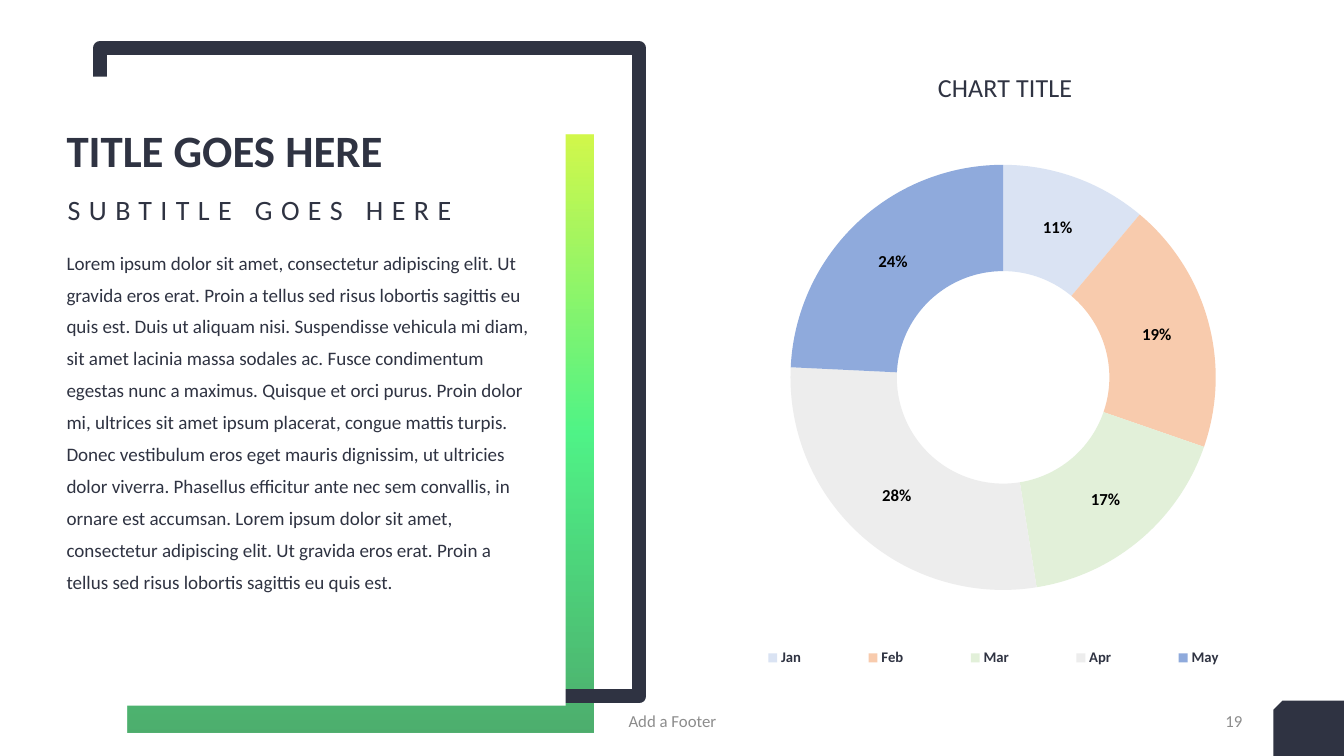
from lxml import etree
from pptx import Presentation
from pptx.chart.data import CategoryChartData
from pptx.dml.color import RGBColor
from pptx.enum.chart import XL_CHART_TYPE as ChartType, XL_LEGEND_POSITION as LegendPosition
from pptx.enum.shapes import MSO_SHAPE as Shape
from pptx.enum.text import MSO_ANCHOR as Anchor, PP_ALIGN as Align
from pptx.oxml import parse_xml
from pptx.oxml.ns import nsdecls, qn
from pptx.util import Inches, Pt

# Content
DARK, WHITE, GREY, BLACK = "2F3342", "FFFFFF", "8C8C8C", "000000"
FONT = "Calibri"
BODY = (
    "Lorem ipsum dolor sit amet, consectetur adipiscing elit. Ut gravida eros erat. "
    "Proin a tellus sed risus lobortis sagittis eu quis est. Duis ut aliquam nisi. "
    "Suspendisse vehicula mi diam, sit amet lacinia massa sodales ac. Fusce condimentum "
    "egestas nunc a maximus. Quisque et orci purus. Proin dolor mi, ultrices sit amet "
    "ipsum placerat, congue mattis turpis. Donec vestibulum eros eget mauris dignissim, "
    "ut ultricies dolor viverra. Phasellus efficitur ante nec sem convallis, in ornare "
    "est accumsan. Lorem ipsum dolor sit amet, consectetur adipiscing elit. Ut gravida "
    "eros erat. Proin a tellus sed risus lobortis sagittis eu quis est."
)
# text, box, side inset, font, line spacing, letter spacing, anchor, alignment
TEXTS = [
    ("TITLE GOES HERE", (0.66, 1.2, 4.62, 0.63), 0, {"size": 32, "bold": True, "color": DARK},
     0.9, 0, Anchor.MIDDLE, Align.LEFT),
    (BODY, (0.66, 2.35, 4.62, 4.22), 0, {"size": 13.6, "color": DARK},
     1.4, 0, Anchor.TOP, Align.LEFT),
    ("SUBTITLE GOES HERE", (0.67, 1.9, 4.59, 0.45), 0, {"size": 20, "color": DARK},
     0.9, 6, Anchor.TOP, Align.LEFT),
    ("Add a Footer", (4.42, 6.95, 4.5, 0.4), 0.1, {"size": 12, "color": GREY},
     1, 0, Anchor.MIDDLE, Align.CENTER),
    ("19", (9.42, 6.95, 3, 0.4), 0.1, {"size": 12, "color": GREY},
     1, 0, Anchor.MIDDLE, Align.RIGHT),
]
GRADIENT = [(0, "038B30"), (50, "05EE55"), (100, "C0F400")]
GRADIENT_OPACITY = 70
MONTHS = [("Jan", 11, "DAE3F3"), ("Feb", 19, "F8CBAD"), ("Mar", 17, "E2F0D9"),
          ("Apr", 28, "EDEDED"), ("May", 24, "8FAADC")]
CHART_TITLE = "CHART TITLE"
CHART_BOX = (7, 0.51, 5.71, 6.47)
# Places inside the chart, as fractions of its box
TITLE_PLACE = {"x": 0.395, "y": 0.02}
PLOT_PLACE = {"x": 0.147, "y": 0.174, "w": 0.739, "h": 0.652}
LEGEND_PLACE = {"x": 0, "y": 0.89, "w": 1, "h": 0.08}


def rgb(value):
    return RGBColor.from_string(value)


def box(lengths):
    return [Inches(length) for length in lengths]


def set_font(font, size, color, bold=False):
    formats = {"name": FONT, "size": Pt(size), "bold": bold}
    for name, value in formats.items():
        setattr(font, name, value)
    font.color.rgb = rgb(color)


def add_panel(slide, kind, place, fill=None, line=None, width=0):
    shape = slide.shapes.add_shape(kind, *box(place))
    shape.shadow.inherit = False
    if fill:
        shape.fill.solid()
        shape.fill.fore_color.rgb = rgb(fill)
    else:
        shape.fill.background()
    if line:
        shape.line.color.rgb = rgb(line)
        shape.line.width = Pt(width)
    else:
        shape.line.fill.background()
    return shape


def set_gradient(shape):
    stops = "".join(
        f'<a:gs pos="{position * 1000}"><a:srgbClr val="{color}">'
        f'<a:alpha val="{GRADIENT_OPACITY * 1000}"/></a:srgbClr></a:gs>'
        for position, color in GRADIENT)
    properties = shape._element.spPr
    gradient = parse_xml(f'<a:gradFill {nsdecls("a")} rotWithShape="1"><a:gsLst>{stops}</a:gsLst>'
                         '<a:lin ang="16200000" scaled="0"/></a:gradFill>')
    properties.replace(properties.find(qn("a:noFill")), gradient)


def add_text(slide, text, place, inset, font, spacing, tracking, anchor, align):
    frame = slide.shapes.add_textbox(*box(place)).text_frame
    formats = {"word_wrap": True, "vertical_anchor": anchor, "margin_left": Inches(inset),
               "margin_right": Inches(inset)}
    for name, value in formats.items():
        setattr(frame, name, value)
    paragraph = frame.paragraphs[0]
    paragraph.alignment = align
    paragraph.line_spacing = spacing
    run = paragraph.add_run()
    run.text = text
    set_font(run.font, **font)
    if tracking:
        run._r.get_or_add_rPr().set("spc", str(tracking * 100))


def set_layout(parent, place, after=None, inner=False):
    """Place a chart part by hand, right after the given child or first."""
    for layout in parent.findall(qn("c:layout")):
        parent.remove(layout)
    layout = parse_xml(f'<c:layout {nsdecls("c")}><c:manualLayout/></c:layout>')
    values = [("layoutTarget", "inner")] if inner else []
    values += [("xMode", "edge"), ("yMode", "edge"), *place.items()]
    for tag, value in values:
        etree.SubElement(layout[0], qn(f"c:{tag}")).set("val", str(value))
    if after is None:
        parent.insert(0, layout)
    else:
        after.addnext(layout)


def add_month_chart(slide):
    data = CategoryChartData()
    data.categories = [month for month, _, _ in MONTHS]
    data.add_series("Series 1", [value for _, value, _ in MONTHS])
    chart = slide.shapes.add_chart(ChartType.DOUGHNUT, *box(CHART_BOX), data).chart
    set_font(chart.font, 10, DARK)

    # Title
    title = chart.chart_title
    title.text_frame.text = CHART_TITLE
    set_font(title.text_frame.paragraphs[0].runs[0].font, 18.6, DARK)
    set_layout(title._element, TITLE_PLACE, title._element.find(qn("c:tx")))

    # Ring
    plot = chart.plots[0]
    plot.vary_by_categories = True
    plot._element.find(qn("c:holeSize")).set("val", "70")
    set_layout(chart._chartSpace.chart.plotArea, PLOT_PLACE, inner=True)
    for index, (_, _, color) in enumerate(MONTHS):
        slice_format = plot.series[0].points[index].format
        slice_format.fill.solid()
        slice_format.fill.fore_color.rgb = rgb(color)
        slice_format.line.fill.background()
    labels = plot.series[0].data_labels
    for name, value in {"show_percentage": True, "show_value": False}.items():
        setattr(labels, name, value)
    set_font(labels.font, 12, BLACK, True)

    # Legend
    chart.has_legend = True
    legend = chart.legend
    legend.position = LegendPosition.TOP
    legend.include_in_layout = False
    set_font(legend.font, 10.5, DARK, True)
    set_layout(legend._element, LEGEND_PLACE, legend._element.find(qn("c:legendPos")))


def main():
    presentation = Presentation()
    presentation.slide_width, presentation.slide_height = box((13.33, 7.5))
    slide = presentation.slides.add_slide(presentation.slide_layouts[6])

    # Corner and frames
    corner = add_panel(slide, Shape.SNIP_1_RECTANGLE, (12.63, 6.95, 0.7, 0.55), DARK)
    corner._element.spPr.xfrm.set("flipH", "1")
    set_gradient(add_panel(slide, Shape.RECTANGLE, (1.27, 1.34, 4.62, 5.93)))
    add_panel(slide, Shape.RECTANGLE, (0.99, 0.48, 5.35, 6.43), line=DARK, width=10)
    add_panel(slide, Shape.RECTANGLE, (0.72, 0.76, 4.89, 6.24), WHITE)

    # Chart and text
    add_month_chart(slide)
    for text in TEXTS:
        add_text(slide, *text)
    presentation.save("out.pptx")


if __name__ == "__main__":
    main()
